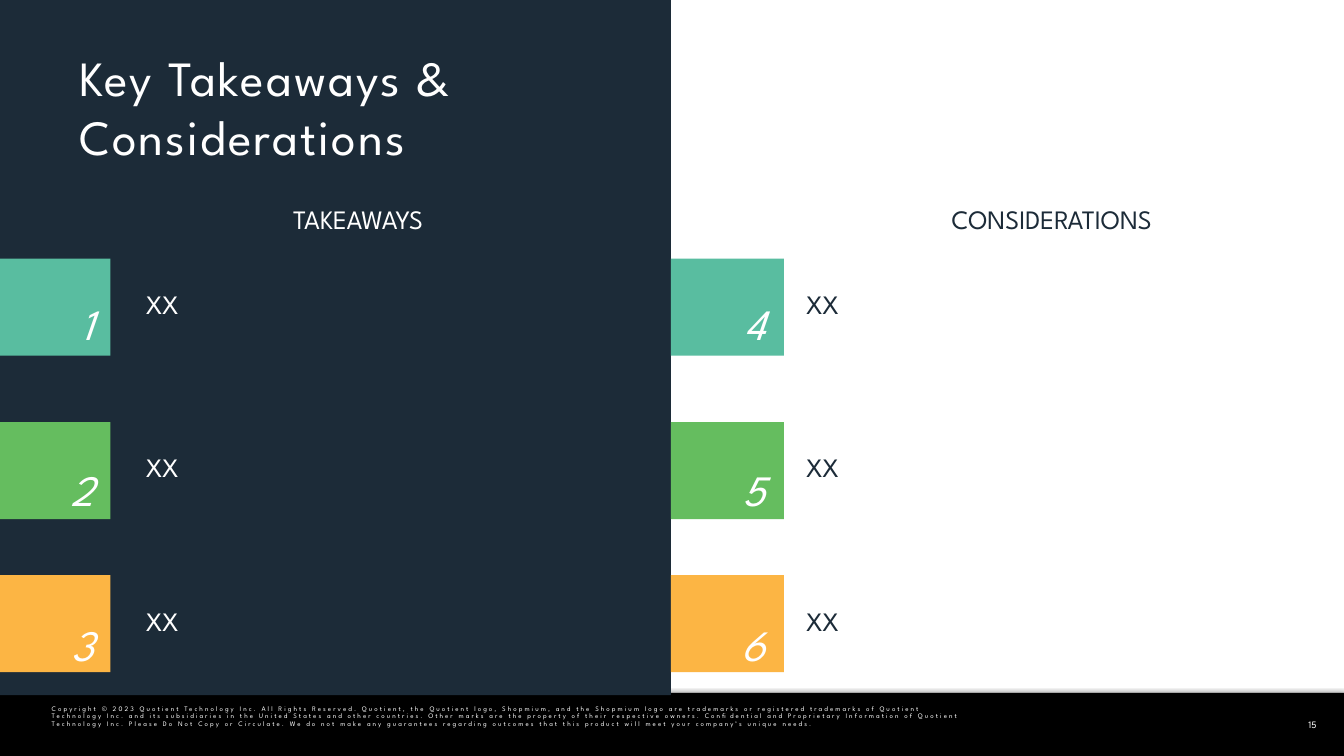
"""Build the Key Takeaways & Considerations slide."""
from dataclasses import dataclass

from lxml.etree import SubElement
from pptx import Presentation
from pptx.dml.color import RGBColor
from pptx.enum.shapes import MSO_SHAPE
from pptx.enum.text import MSO_ANCHOR, PP_ALIGN
from pptx.oxml.ns import qn
from pptx.shapes.autoshape import Shape
from pptx.slide import Slide
from pptx.util import Pt

FONT = "League Spartan"
BLACK = RGBColor(0x00, 0x00, 0x00)
WHITE = RGBColor(0xFF, 0xFF, 0xFF)
NAVY = RGBColor(0x1C, 0x2B, 0x38)
TEAL = RGBColor(0x59, 0xBD, 0xA0)
GREEN = RGBColor(0x65, 0xBD, 0x5F)
ORANGE = RGBColor(0xFC, 0xB5, 0x44)

SLIDE_W, SLIDE_H = 1365.84, 768.24
SPLIT = 681.84
FOOTER_TOP = 704.16
HEADING_W = 240
COPYRIGHT = (
    "Copyright © 2023 Quotient Technology Inc. All Rights Reserved. Quotient, the "
    "Quotient logo, Shopmium, and the Shopmium logo are trademarks or registered "
    "trademarks of Quotient Technology Inc. and its subsidiaries in the United States "
    "and other countries. Other marks are the property of their respective owners. "
    "Confidential and Proprietary Information of Quotient Technology Inc. Please Do Not "
    "Copy or Circulate. We do not make any guarantees regarding outcomes that this "
    "product will meet your company’s unique needs."
)


@dataclass(frozen=True)
class Box:
    left: float
    top: float
    width: float
    height: float


@dataclass(frozen=True)
class Style:
    size: float
    color: RGBColor = WHITE
    align: PP_ALIGN = PP_ALIGN.LEFT
    anchor: MSO_ANCHOR = MSO_ANCHOR.TOP
    line: float = 0.9
    spacing: float = 0
    italic: bool = False
    inset: float = 4.32


@dataclass(frozen=True)
class Column:
    heading: str
    heading_center: float
    badge_left: float
    badge_width: float
    number_right: float
    text_left: float
    color: RGBColor
    first: int


@dataclass(frozen=True)
class Row:
    top: float
    number_top: float
    text_top: float
    color: RGBColor


COLUMNS = (
    Column("TAKEAWAYS", 363.96, 0, 112.32, 102.24, 144.2, WHITE, 1),
    Column("CONSIDERATIONS", 1068.84, SPLIT, 114.8, 784.8, 815.3, NAVY, 4),
)
ROWS = (
    Row(262.8, 288, 262.8, TEAL),
    Row(428.9, 456.48, 428.9, GREEN),
    Row(584.4, 614.16, 585.6, ORANGE),
)


def add_rect(s: Slide, box: Box, color: RGBColor) -> Shape:
    """Draw a plain filled rectangle."""
    sp = s.shapes.add_shape(MSO_SHAPE.RECTANGLE, Pt(box.left), Pt(box.top),
                            Pt(box.width), Pt(box.height))
    sp.shadow.inherit = False
    sp.fill.solid()
    sp.fill.fore_color.rgb = color
    sp.line.fill.background()
    return sp


def add_soft_shadow(sp: Shape) -> None:
    """Give a shape a blurred half-transparent black shadow."""
    effects = sp._element.spPr.find(qn("a:effectLst"))
    shadow = SubElement(effects, qn("a:outerShdw"), blurRad=str(Pt(4)),
                        dist=str(Pt(1)), dir="0", algn="ctr", rotWithShape="0")
    color = SubElement(shadow, qn("a:srgbClr"), val=str(BLACK))
    SubElement(color, qn("a:alpha"), val="50000")


def add_text(s: Slide, box: Box, text: str, style: Style) -> None:
    """Draw a one-run text box."""
    sp = s.shapes.add_textbox(Pt(box.left), Pt(box.top), Pt(box.width), Pt(box.height))
    tf = sp.text_frame
    tf.word_wrap = True
    tf.vertical_anchor = style.anchor
    tf.margin_left = tf.margin_right = Pt(style.inset)
    tf.margin_top = tf.margin_bottom = Pt(min(style.inset, 4.32))
    p = tf.paragraphs[0]
    p.alignment = style.align
    p.line_spacing = style.line
    r = p.add_run()
    r.text = text
    r.font.name = FONT
    r.font.size = Pt(style.size)
    r.font.italic = style.italic
    r.font.color.rgb = style.color
    if style.spacing:
        r.font._element.set("spc", str(round(style.spacing * 100)))


def add_column(s: Slide, col: Column) -> None:
    """Draw a heading with its numbered rows."""
    heading = Style(27, col.color, PP_ALIGN.CENTER)
    number = Style(44, align=PP_ALIGN.RIGHT, anchor=MSO_ANCHOR.MIDDLE, line=1.2,
                   spacing=-1.5, italic=True, inset=7.2)
    body = Style(27, col.color, anchor=MSO_ANCHOR.MIDDLE)
    add_text(s, Box(col.heading_center - HEADING_W / 2, 205.92, HEADING_W, 56.88),
             col.heading, heading)
    for i, row in enumerate(ROWS):
        add_rect(s, Box(col.badge_left, row.top, col.badge_width, 98.64), row.color)
        add_text(s, Box(col.badge_left, row.number_top,
                        col.number_right - col.badge_left, 69.84),
                 str(col.first + i), number)
        add_text(s, Box(col.text_left, row.text_top, 506.88, 95.04), "XX", body)


def main() -> None:
    """Build and save the slide."""
    prs = Presentation()
    prs.slide_width, prs.slide_height = Pt(SLIDE_W), Pt(SLIDE_H)
    s = prs.slides.add_slide(prs.slide_layouts[6])
    footer = add_rect(s, Box(0, FOOTER_TOP, SLIDE_W, SLIDE_H - FOOTER_TOP), BLACK)
    add_soft_shadow(footer)
    add_text(s, Box(52.56, 716.9, 932, 28.8), COPYRIGHT,
             Style(7, spacing=2.1, inset=0))
    add_text(s, Box(1303.2, 706.32, 61.2, 61.92), "15",
             Style(10, align=PP_ALIGN.CENTER, anchor=MSO_ANCHOR.MIDDLE, inset=7.2))
    add_rect(s, Box(0, 0, SPLIT, 706.32), NAVY)
    add_text(s, Box(76.32, 43.92, 574.56, 80.64), "Key Takeaways & Considerations",
             Style(50, line=1, spacing=2.1))
    for col in COLUMNS:
        add_column(s, col)
    prs.save("out.pptx")


if __name__ == "__main__":
    main()
